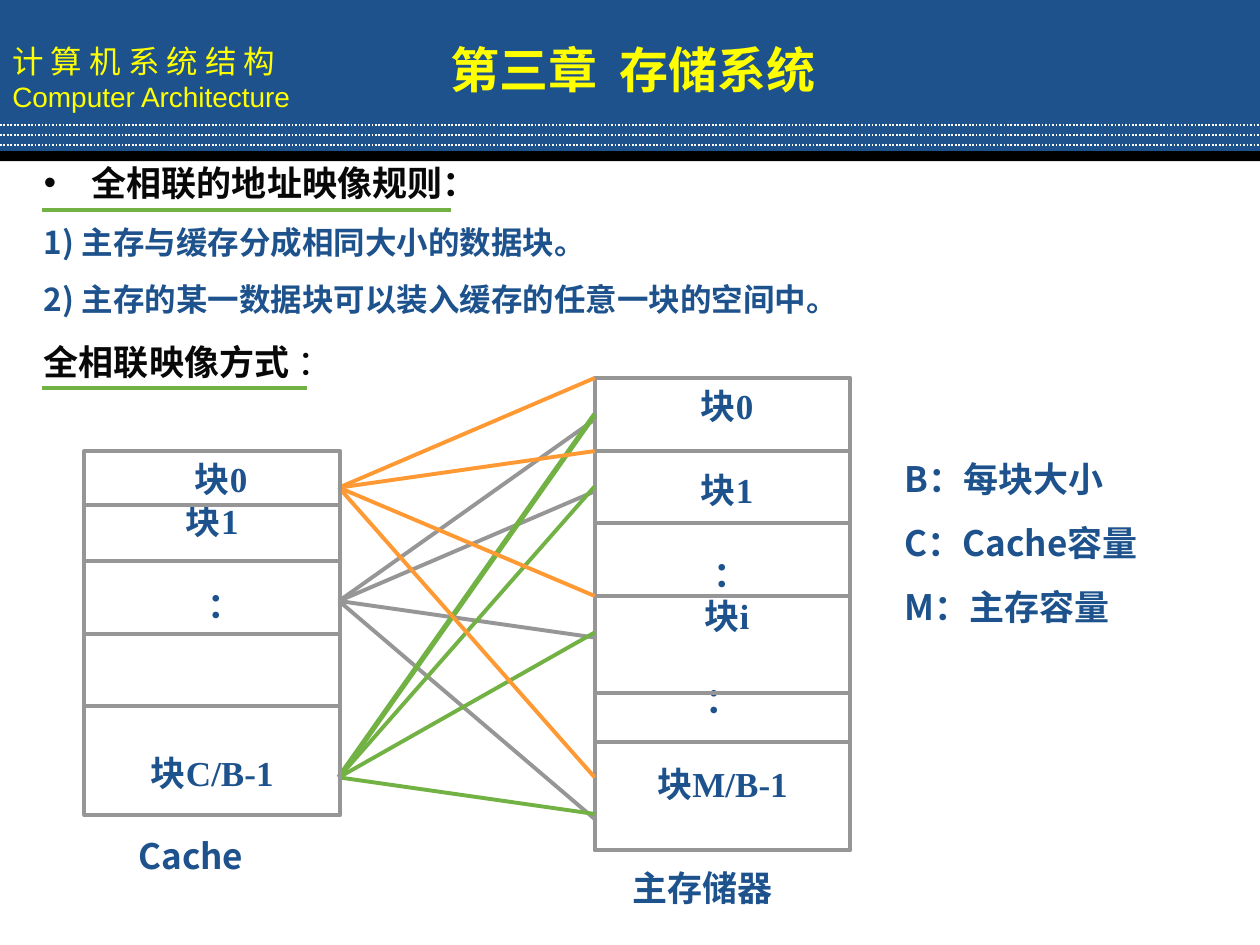
from dataclasses import dataclass

from lxml.etree import SubElement
from pptx import Presentation
from pptx.dml.color import RGBColor as RGB
from pptx.enum.dml import MSO_LINE as Dash
from pptx.enum.shapes import MSO_CONNECTOR as Link, MSO_SHAPE as Kind
from pptx.enum.text import MSO_ANCHOR as Anchor, PP_ALIGN as Align
from pptx.oxml.ns import qn
from pptx.util import Inches, Pt


@dataclass(frozen=True)
class Theme:
    blue: str = "1D528D"
    yellow: str = "FFFF00"
    white: str = "FFFFFF"
    black: str = "000000"
    ink: str = "080808"
    gray: str = "969696"
    green: str = "72B143"
    orange: str = "FF9933"
    sans: str = "Noto Sans CJK SC"
    serif: str = "Times New Roman"
    arial: str = "Arial"
    title: int = 28
    body: int = 20
    item: int = 18
    small: int = 16
    pitch: float = 1.2  # line height per point of type
    stroke: float = 2.25


class Deck:
    def __init__(self, theme):
        self.theme = theme
        self.prs = Presentation()
        self.prs.slide_width, self.prs.slide_height = Inches(10), Inches(7.5)
        self.slide = self.prs.slides.add_slide(self.prs.slide_layouts[6])

    def rect(self, left, top, width, height, fill=None, line=None):
        box = self.slide.shapes.add_shape(
            Kind.RECTANGLE, *map(Inches, (left, top, width, height)))
        box.shadow.inherit = False
        if fill:
            box.fill.solid()
            box.fill.fore_color.rgb = RGB.from_string(fill)
        else:
            box.fill.background()
        if line:
            box.line.color.rgb = RGB.from_string(line)
            box.line.width = Pt(self.theme.stroke)
        else:
            box.line.fill.background()
        return self.frame(box, Anchor.TOP)

    def label(self, left, top, width, height):
        box = self.slide.shapes.add_textbox(
            *map(Inches, (left, top, width, height)))
        return self.frame(box, Anchor.TOP)

    def frame(self, box, anchor):
        text = box.text_frame
        text.word_wrap = True
        text.vertical_anchor = anchor
        return text

    def para(self, text, runs, size, color, font=None, bold=True,
             align=Align.LEFT, before=0, indent=0, hang=0, bullet=None):
        """Add a paragraph; runs is a string or (text, bold) pairs."""
        first = text.paragraphs[0]
        par = text.add_paragraph() if first.runs else first
        props = par._p.get_or_add_pPr()
        if indent:
            props.set("marL", str(Inches(indent)))
        if hang:
            props.set("indent", str(-Inches(hang)))
        if bullet:
            SubElement(props, qn("a:buFont"), typeface=self.theme.arial)
            SubElement(props, qn("a:buChar"), char=bullet)
        par.alignment = align
        par.line_spacing = Pt(size * self.theme.pitch)
        par.space_before = Pt(before)
        for words, heavy in [(runs, bold)] if isinstance(runs, str) else runs:
            run = par.add_run()
            run.text = words
            run.font.size, run.font.bold = Pt(size), heavy
            run.font.name = font or self.theme.sans
            run.font.color.rgb = RGB.from_string(color)
            SubElement(run._r.get_or_add_rPr(), qn("a:ea"),
                       typeface=self.theme.sans)

    def line(self, start, end, color, width=None, dash=None):
        link = self.slide.shapes.add_connector(
            Link.STRAIGHT, *map(Inches, (*start, *end)))
        link.line.color.rgb = RGB.from_string(color)
        link.line.width = Pt(width or self.theme.stroke)
        if dash:
            link.line.dash_style = dash
        SubElement(link._element.spPr, qn("a:effectLst"))

    def stack(self, left, top, width, height, cuts, rows):
        """Draw a box of blocks; rows hold (text, blank lines above, indent)."""
        th = self.theme
        text = self.rect(left, top, width, height, line=th.gray)
        for words, gap, indent in rows:
            self.para(text, words, th.body, th.blue, th.serif,
                      align=Align.CENTER, indent=indent,
                      before=gap * th.body * th.pitch)
        for y in cuts:
            self.line((left, y), (left + width, y), th.gray)


def main():
    th = Theme()
    deck = Deck(th)

    # Header band
    head = deck.rect(0, 0, 10, 1.23, fill=th.blue)
    head.vertical_anchor = Anchor.MIDDLE
    deck.para(head, "计 算 机 系 统 结 构", th.item, th.yellow, bold=False)
    deck.para(head, "Computer Architecture", th.small, th.yellow, th.arial,
              bold=False)
    deck.rect(0, 1.2, 10, 0.08, fill=th.black)
    for y in (0.99, 1.07, 1.15):
        deck.line((0, y), (10, y), th.white, 1, Dash.ROUND_DOT)
    title = deck.rect(3.22, 0.18, 3.61, 0.65, fill=th.blue)
    title.vertical_anchor = Anchor.BOTTOM
    deck.para(title, "第三章  存储系统", th.title, th.yellow,
              align=Align.CENTER)

    # Mapping rules
    rules = deck.label(0.25, 1.23, 9.08, 1.35)
    deck.para(rules, "全相联的地址映像规则：", th.body, th.ink,
              align=Align.JUSTIFY, indent=0.38, hang=0.38, bullet="•")
    for words in ("1) 主存与缓存分成相同大小的数据块。",
                  "2) 主存的某一数据块可以装入缓存的任意一块的空间中。"):
        deck.para(rules, words, th.item, th.blue, align=Align.JUSTIFY,
                  before=11.2, indent=0.38, hang=0.38)
    mode = deck.label(0.25, 2.65, 3.39, 0.44)
    deck.para(mode, [("全相联映像方式", True), (" ：", False)],
              th.body, th.ink)
    for end, y in ((3.58, 1.67), (2.44, 3.08)):
        deck.line((0.33, y), (end, y), th.green)

    # Legend
    legend = deck.label(7.08, 3.58, 2.58, 1.45)
    for i, words in enumerate(("B：每块大小", "C：Cache容量", "M：主存容量")):
        deck.para(legend, words, th.body, th.blue, before=12.5 if i else 0)

    # Main memory blocks
    deck.stack(4.72, 3, 2.03, 3.75, (3.58, 4.15, 4.73, 5.5, 5.89), (
        ("块0", 0, 0.07), ("块1", 1, 0.07), ("：", 1, 0.14),
        ("块i", 0, 0.07), ("：", 1, 0), ("块M/B-1", 1, 0)))

    # Links from each cache block to the memory blocks
    fans = ((4.77, th.gray, (3.9, 5.06, 6.5, 3.33)),
            (6.17, th.green, (6.46, 5.02, 3.29, 3.86)),
            (3.87, th.orange, (3, 3.58, 6.17, 4.73)))
    for y, color, ends in fans:
        for end in ends:
            deck.line((2.69, y), (4.72, end), color,
                      3 if end == 3.29 else th.stroke)

    # Cache blocks
    deck.stack(0.67, 3.58, 2.03, 2.89, (4.01, 4.45, 5.03, 5.6), (
        ("块0", 0, 0.14), ("块1", 0, 0), ("：", 1, 0.21),
        ("块C/B-1", 3, 0)))

    # Captions
    for words, left, top, width, font in (
            ("Cache", 1, 6.57, 1.5, th.sans),
            ("主存储器", 4.92, 6.83, 2.08, th.serif)):
        deck.para(deck.label(left, top, width, 0.44), words, th.body,
                  th.blue, font)

    deck.prs.save("out.pptx")


if __name__ == "__main__":
    main()
